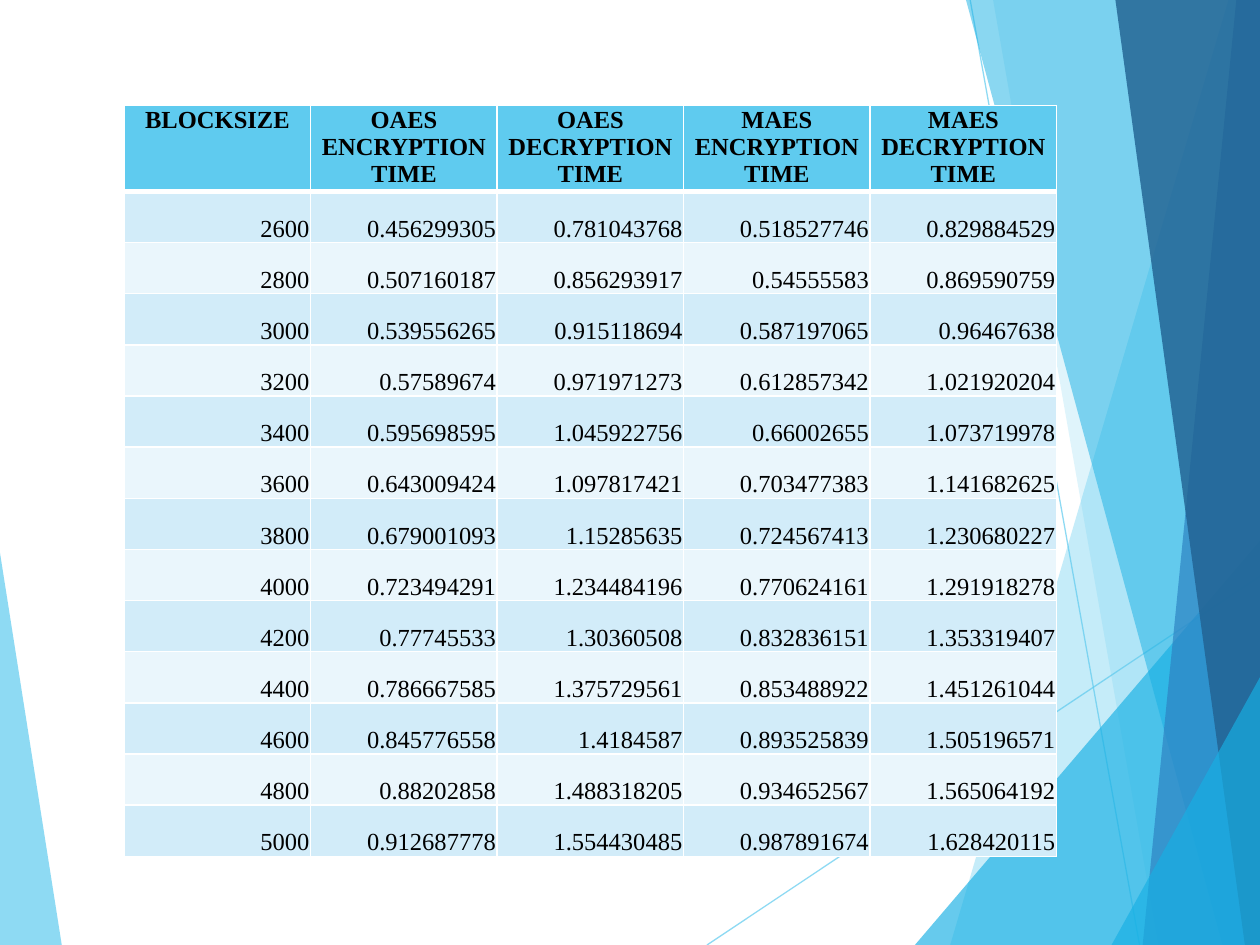
"""Build a slide with a table of cipher timings over a faceted blue background."""
from lxml.etree import SubElement
from pptx import Presentation
from pptx.dml.color import RGBColor
from pptx.enum.shapes import MSO_CONNECTOR
from pptx.enum.text import MSO_ANCHOR, PP_ALIGN
from pptx.oxml.ns import qn
from pptx.util import Pt

SKY = RGBColor(0x5F, 0xCB, 0xEF)
CYAN = RGBColor(0x17, 0xB0, 0xE4)
BLUE = RGBColor(0x2E, 0x83, 0xC3)
NAVY = RGBColor(0x22, 0x62, 0x92)
PALE = RGBColor(0xD2, 0xEC, 0xF9)
PALEST = RGBColor(0xEA, 0xF6, 0xFC)
BLACK = RGBColor(0, 0, 0)
WHITE = RGBColor(0xFF, 0xFF, 0xFF)


def write_cell(cell, text, fill, align, anchor, bold=False):
    cell.fill.solid()
    cell.fill.fore_color.rgb = fill
    cell.margin_left = cell.margin_right = cell.margin_top = Pt(0.72)
    cell.margin_bottom = Pt(0)
    cell.vertical_anchor = anchor
    para = cell.text_frame.paragraphs[0]
    para.alignment = align
    span = para.add_run()
    span.text = text
    span.font.name = "Times New Roman"
    span.font.size = Pt(14)
    span.font.bold = bold
    span.font.color.rgb = BLACK


def set_opacity(shape, percent):
    for color in shape._element.spPr.iter(qn("a:srgbClr")):
        SubElement(color, qn("a:alpha"), val=str(percent * 1000))


deck = Presentation()
deck.slide_width, deck.slide_height = Pt(720), Pt(540)
page = deck.slides.add_slide(deck.slide_layouts[6])

left_facet = (SKY, 70, [(0, 316), (35.3, 540), (0, 540)])
right_facets = [
    (SKY, 36, [(702, 0), (543, 540), (720, 540), (720, 0)]),
    (SKY, 20, [(567.5, 0), (662, 540), (720, 540), (720, 0)]),
    (CYAN, 66, [(522.8, 540), (720, 309), (720, 540)]),
    (CYAN, 50, [(552, 0), (698.5, 540), (720, 540), (720, 0)]),
    (BLUE, 70, [(706.5, 0), (653, 540), (720, 540), (720, 0)]),
    (NAVY, 82, [(637.4, 0), (711.4, 540), (720, 540), (720, 0)]),
    (CYAN, 66, [(635.2, 540), (720, 387), (720, 540)]),
]
for color, opacity, corners in [left_facet] + right_facets:
    points = [(Pt(x), Pt(y)) for x, y in corners]
    outline = page.shapes.build_freeform(*points[0], scale=1.0)
    outline.add_line_segments(points[1:], close=True)
    facet = outline.convert_to_shape()
    facet.shadow.inherit = False
    facet.fill.solid()
    facet.fill.fore_color.rgb = color
    facet.line.fill.background()
    set_opacity(facet, opacity)

first_right_facet = page.shapes[1]._element
for ends in [(404, 540, 720, 329.2), (554.4, 0, 651.2, 540)]:
    ray = page.shapes.add_connector(MSO_CONNECTOR.STRAIGHT, *map(Pt, ends))
    ray.line.color.rgb = SKY
    ray.line.width = Pt(0.75)
    set_opacity(ray, 70)
    SubElement(ray._element.spPr, qn("a:effectLst"))
    first_right_facet.addprevious(ray._element)

HEADINGS = ["BLOCKSIZE", "OAES ENCRYPTION TIME", "OAES DECRYPTION TIME",
            "MAES ENCRYPTION TIME", "MAES DECRYPTION TIME"]
TIMINGS = [
    ("2600", "0.456299305", "0.781043768", "0.518527746", "0.829884529"),
    ("2800", "0.507160187", "0.856293917", "0.54555583", "0.869590759"),
    ("3000", "0.539556265", "0.915118694", "0.587197065", "0.96467638"),
    ("3200", "0.57589674", "0.971971273", "0.612857342", "1.021920204"),
    ("3400", "0.595698595", "1.045922756", "0.66002655", "1.073719978"),
    ("3600", "0.643009424", "1.097817421", "0.703477383", "1.141682625"),
    ("3800", "0.679001093", "1.15285635", "0.724567413", "1.230680227"),
    ("4000", "0.723494291", "1.234484196", "0.770624161", "1.291918278"),
    ("4200", "0.77745533", "1.30360508", "0.832836151", "1.353319407"),
    ("4400", "0.786667585", "1.375729561", "0.853488922", "1.451261044"),
    ("4600", "0.845776558", "1.4184587", "0.893525839", "1.505196571"),
    ("4800", "0.88202858", "1.488318205", "0.934652567", "1.565064192"),
    ("5000", "0.912687778", "1.554430485", "0.987891674", "1.628420115"),
]
HEADER_HEIGHT, ROW_HEIGHT, COLUMN_WIDTH = 48.96, 29.23, 106.56
frame = page.shapes.add_table(
    len(TIMINGS) + 1, len(HEADINGS), Pt(71), Pt(60.4),
    Pt(COLUMN_WIDTH * len(HEADINGS)), Pt(HEADER_HEIGHT + ROW_HEIGHT * len(TIMINGS)))
table = frame.table
for column in table.columns:
    column.width = Pt(COLUMN_WIDTH)

for row_index, values in enumerate([HEADINGS] + TIMINGS):
    is_header = row_index == 0
    table.rows[row_index].height = Pt(HEADER_HEIGHT if is_header else ROW_HEIGHT)
    for column_index, value in enumerate(values):
        cell = table.cell(row_index, column_index)
        if is_header:
            write_cell(cell, value, SKY, PP_ALIGN.CENTER, MSO_ANCHOR.TOP, bold=True)
        else:
            band = PALE if row_index % 2 else PALEST
            write_cell(cell, value, band, PP_ALIGN.RIGHT, MSO_ANCHOR.BOTTOM)
        properties = cell._tc.get_or_add_tcPr()
        for position, side in enumerate(("lnL", "lnR", "lnT", "lnB")):
            under_header = (row_index, side) in [(0, "lnB"), (1, "lnT")]
            border = SubElement(properties, qn(f"a:{side}"), w=str(Pt(3 if under_header else 1)))
            SubElement(SubElement(border, qn("a:solidFill")), qn("a:srgbClr"), val=str(WHITE))
            properties.insert(position, border)

deck.save("out.pptx")
